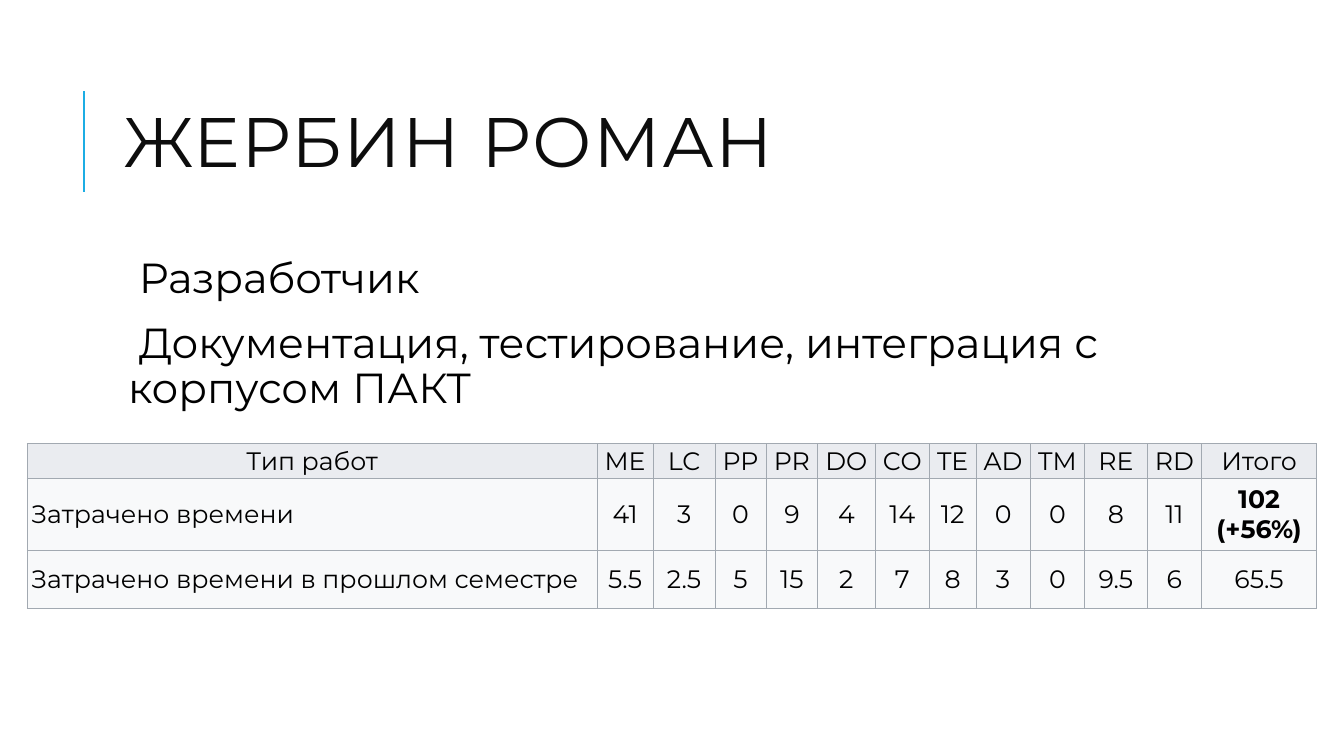
from dataclasses import dataclass
from lxml.etree import SubElement
from pptx import Presentation
from pptx.dml.color import RGBColor as RGB
from pptx.enum.shapes import MSO_CONNECTOR as Link
from pptx.enum.text import MSO_ANCHOR as Anchor, MSO_AUTO_SIZE as Fit, PP_ALIGN as Align
from pptx.oxml.ns import qn
from pptx.util import Inches, Pt

# Content
TITLE = "ЖЕРБИН РОМАН"
ROLES = ["Разработчик", "Документация, тестирование, интеграция с корпусом ПАКТ"]
ROWS = [
    ("Тип работ", "ME", "LC", "PP", "PR", "DO", "CO", "TE", "AD", "TM", "RE", "RD", "Итого"),
    ("Затрачено времени", 41, 3, 0, 9, 4, 14, 12, 0, 0, 8, 11, "102 (+56%)"),
    ("Затрачено времени в прошлом семестре", 5.5, 2.5, 5, 15, 2, 7, 8, 3, 0, 9.5, 6, 65.5),
]
BOLD = (1, 12)

# Layout in inches
WIDE, HIGH = 13.33, 7.5
LEFT, SPAN = 1.12, 10.63
COLS = [5.65, 0.56, 0.61, 0.51, 0.51, 0.57, 0.54, 0.46, 0.54, 0.54, 0.62, 0.54, 1.14]
TALL = [0.35, 0.71, 0.58]


@dataclass(frozen=True)
class Theme:
    font: str = "Montserrat"
    title: int = 50
    body: int = 30
    cell: int = 18
    ink: str = "000000"
    dark: str = "0D0D0D"
    blue: str = "1CADE4"
    head: str = "EAECF0"
    pale: str = "F8F9FA"
    edge: str = "A2A9B1"


LOOK = Theme()


def style(para, size, color, bold=False):
    font = para.font
    font.name, font.size, font.bold = LOOK.font, Pt(size), bold
    font.color.rgb = RGB.from_string(color)


def paint(parent, color):
    fill = SubElement(parent, qn("a:solidFill"))
    SubElement(fill, qn("a:srgbClr"), val=color)


def bullet(para):
    props = para._p.get_or_add_pPr()
    props.set("marL", str(Inches(0.1)))
    props.set("indent", str(-Inches(0.1)))
    tint = SubElement(props, qn("a:buClr"))
    SubElement(tint, qn("a:srgbClr"), val=LOOK.blue)
    SubElement(props, qn("a:buChar"), char=" ")


def border(cell):
    props = cell._tc.get_or_add_tcPr()
    for spot, side in enumerate(("lnL", "lnR", "lnT", "lnB")):
        line = props.makeelement(qn("a:" + side), {"w": str(Pt(0.5))})
        paint(line, LOOK.edge)
        props.insert(spot, line)


def add_title(slide):
    title = slide.shapes.title
    title.left, title.top = Inches(LEFT), Inches(0.64)
    title.width, title.height = Inches(SPAN), Inches(1.64)
    frame = title.text_frame
    frame.text = TITLE
    frame.auto_size, frame.vertical_anchor = Fit.NONE, Anchor.MIDDLE
    para = frame.paragraphs[0]
    para.alignment, para.line_spacing = Align.LEFT, 0.8
    style(para, LOOK.title, LOOK.dark)
    para.runs[0].font._element.set("spc", "100")


def add_rule(slide):
    x = Inches(0.83)
    rule = slide.shapes.add_connector(Link.STRAIGHT, x, Inches(1.9), x, Inches(0.9))
    rule.line.color.rgb = RGB.from_string(LOOK.blue)
    rule.line.width = Pt(1.5)
    SubElement(rule._element.spPr, qn("a:effectLst"))


def add_roles(slide):
    box = slide.shapes.add_textbox(Inches(LEFT), Inches(2.5), Inches(SPAN), Inches(0.78))
    frame = box.text_frame
    frame.word_wrap = True
    frame.margin_left = frame.margin_right = Inches(0.05)
    frame.margin_top = frame.margin_bottom = Inches(0.05)
    frame.text = "\n".join(ROLES)
    for para in frame.paragraphs:
        para.line_spacing = 0.9
        para.space_before, para.space_after = Pt(12), Pt(2)
        bullet(para)
        style(para, LOOK.body, LOOK.ink)


def add_hours(slide):
    shape = slide.shapes.add_table(len(ROWS), len(COLS), Inches(0.27), Inches(4.4),
                                   Inches(sum(COLS)), Inches(sum(TALL)))
    table = shape.table
    for col, wide in zip(table.columns, COLS):
        col.width = Inches(wide)
    for r, (row, tall) in enumerate(zip(ROWS, TALL)):
        table.rows[r].height = Inches(tall)
        for c, value in enumerate(row):
            cell = table.cell(r, c)
            cell.text = str(value)
            cell.vertical_anchor = Anchor.MIDDLE
            # Headings sit closer to the cell edge than values
            if r == 0 or c == 0:
                cell.margin_left = cell.margin_right = Inches(0.04)
                cell.margin_top = cell.margin_bottom = Inches(0.02)
            cell.fill.solid()
            cell.fill.fore_color.rgb = RGB.from_string(LOOK.pale if r else LOOK.head)
            border(cell)
            para = cell.text_frame.paragraphs[0]
            para.alignment = Align.LEFT if r and c == 0 else Align.CENTER
            style(para, LOOK.cell, LOOK.ink, (r, c) == BOLD)


def main():
    deck = Presentation()
    deck.slide_width, deck.slide_height = Inches(WIDE), Inches(HIGH)
    slide = deck.slides.add_slide(deck.slide_layouts[5])
    add_rule(slide)
    add_title(slide)
    add_roles(slide)
    add_hours(slide)
    deck.save("out.pptx")


if __name__ == "__main__":
    main()
